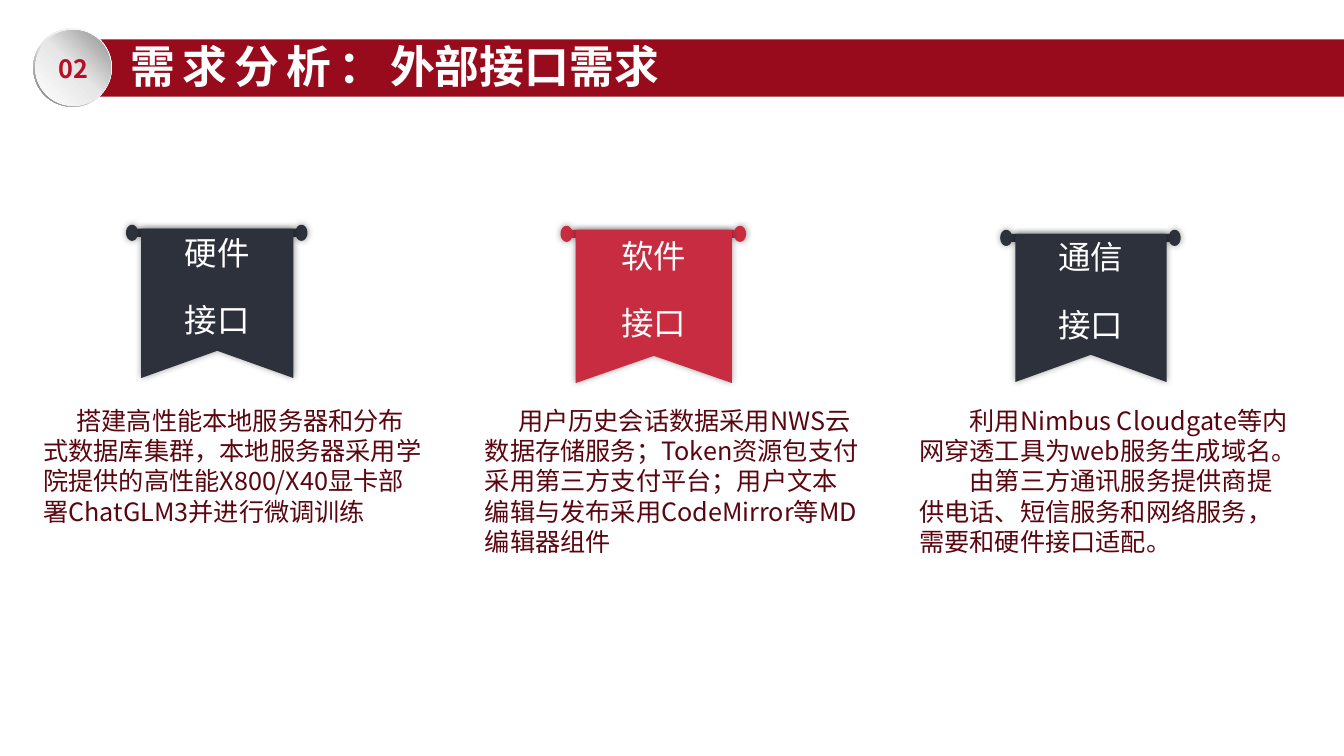
from math import cos, radians, sin

from lxml import etree
from pptx import Presentation
from pptx.dml.color import RGBColor
from pptx.enum.shapes import MSO_SHAPE
from pptx.enum.text import MSO_ANCHOR, PP_ALIGN
from pptx.oxml.ns import qn
from pptx.util import Inches, Pt

RECT, DONUT, OVAL = MSO_SHAPE.RECTANGLE, MSO_SHAPE.DONUT, MSO_SHAPE.OVAL
TOP, MIDDLE = MSO_ANCHOR.TOP, MSO_ANCHOR.MIDDLE
LEFT, CENTER = PP_ALIGN.LEFT, PP_ALIGN.CENTER
NAVY, RED, WHITE = "2D313B", "C82C41", "FFFFFF"
BAR, MAROON, NUMBER = "970B1C", "5A0610", "BB0C21"
INSETS = (0.1, 0.05, 0.1, 0.05)


def rgb(value):
    return RGBColor.from_string(value)


class SlideBuilder:
    font = "Noto Sans CJK SC"

    def __init__(self, slide):
        self.slide = slide

    def finish(self, s, fill):
        s.shadow.inherit = False
        s.line.fill.background()
        s.fill.solid()
        s.fill.fore_color.rgb = rgb(fill)
        return s

    def shape(self, kind, x, y, w, h, fill=WHITE):
        s = self.slide.shapes.add_shape(
            kind, Inches(x), Inches(y), Inches(w), Inches(h))
        return self.finish(s, fill)

    def gradient(self, s, stops, angle):
        s.fill.gradient()
        s.fill.gradient_angle = 360 - angle
        stop_list = s._element.spPr.find(qn("a:gradFill")).find(qn("a:gsLst"))
        for old in list(stop_list):
            stop_list.remove(old)
        for position, color in stops:
            gs = etree.SubElement(stop_list, qn("a:gs"), pos=str(position * 1000))
            etree.SubElement(gs, qn("a:srgbClr"), val=color)

    def outline(self, points, fill):
        points = [(Inches(x), Inches(y)) for x, y in points]
        builder = self.slide.shapes.build_freeform(*points[0])
        builder.add_line_segments(points[1:], close=True)
        s = self.finish(builder.convert_to_shape(), fill)
        effects = s._element.spPr.find(qn("a:effectLst"))
        shadow = etree.SubElement(effects, qn("a:outerShdw"),
                                  blurRad=str(Pt(5)), dist="0", dir="0")
        color = etree.SubElement(shadow, qn("a:srgbClr"), val="000000")
        etree.SubElement(color, qn("a:alpha"), val="40000")
        return s

    def set_text(self, s, paragraphs, size, color, bold=False, align=LEFT,
                 anchor=TOP, insets=INSETS, indent=0):
        """Each paragraph is a list of (text, extra run attributes)."""
        tf = s.text_frame
        left, top, right, bottom = map(Inches, insets)
        frame = {"word_wrap": True, "vertical_anchor": anchor,
                 "margin_left": left, "margin_top": top,
                 "margin_right": right, "margin_bottom": bottom}
        for name, value in frame.items():
            setattr(tf, name, value)
        style = {"size": Pt(size), "bold": bold, "name": self.font}
        for i, runs in enumerate(paragraphs):
            p = tf.add_paragraph() if i else tf.paragraphs[0]
            p.alignment = align
            if indent:
                pPr = p._p.get_or_add_pPr()
                pPr.set("marL", "0")
                pPr.set("indent", str(Inches(indent)))
            for text, extra in runs:
                r = p.add_run()
                r.text = text
                for name, value in style.items():
                    setattr(r.font, name, value)
                r.font.color.rgb = rgb(color)
                rPr = r._r.get_or_add_rPr()
                etree.SubElement(rPr, qn("a:ea"), typeface=self.font)
                for name, value in extra.items():
                    rPr.set(name, value)

    def text(self, x, y, w, h, paragraphs, size, color, **options):
        s = self.slide.shapes.add_textbox(
            Inches(x), Inches(y), Inches(w), Inches(h))
        self.set_text(s, paragraphs, size, color, **options)

    def banner(self, x, y, w, h, label, fill):
        # Rod with a round knob at each end
        rx, ry = 0.06, 0.08
        left, right, middle = x - 0.09, x + w + 0.08, y + 0.04
        knobs = [(right, range(-150, 151, 15)), (left, range(30, 331, 15))]
        self.outline([(cx + rx * cos(radians(a)), middle + ry * sin(radians(a)))
                      for cx, angles in knobs for a in angles], fill)
        # Swallowtail flag
        flag = self.outline([(x + w / 2, y + h - 0.27), (x + w, y + h), (x + w, y),
                             (x, y), (x, y + h)], fill)
        self.set_text(flag, [[(line, {"baseline": "30000"})] for line in label],
                      40, WHITE, align=CENTER, anchor=MIDDLE,
                      insets=(0.1, 0, 0.1, 0.2))


def main():
    prs = Presentation()
    prs.slide_width, prs.slide_height = Inches(13.33), Inches(7.5)
    b = SlideBuilder(prs.slides.add_slide(prs.slide_layouts[6]))

    # Title bar
    b.shape(RECT, 0.79, 0.39, 12.54, 0.57, BAR)
    b.text(1.2, 0.33, 6.36, 1.18,
           [[("需求分析：", {"spc": "500"}), ("外部接口需求", {})]],
           32, WHITE, bold=True)

    # Section number
    ring = b.shape(DONUT, 0.33, 0.28, 0.78, 0.78)
    ring.adjustments[0] = 0.05
    b.gradient(ring, [(0, WHITE), (55, "E6E6E6"), (100, "6C6C6C")], 135)
    disc = b.shape(OVAL, 0.35, 0.3, 0.75, 0.75)
    b.gradient(disc, [(0, WHITE), (51, "E6E6E6"), (100, "8F8F8F")], 315)
    b.set_text(disc, [[("02", {})]], 18, NUMBER, bold=True, align=CENTER,
               anchor=MIDDLE)

    # Banners: place and size, label, colour
    banners = [
        ((1.4, 2.27, 1.51, 1.48), ("硬件", "接口"), NAVY),
        ((5.71, 2.28, 1.55, 1.52), ("软件", "接口"), RED),
        ((10.07, 2.32, 1.5, 1.47), ("通信", "接口"), NAVY),
    ]
    for place, label, fill in banners:
        b.banner(*place, label, fill)

    # Descriptions: left, width, first-line indent, paragraphs
    descriptions = [
        (0.33, 3.98, 0.33, [
            "搭建高性能本地服务器和分布式数据库集群，本地服务器采用学院提供的"
            "高性能X800/X40显卡部署ChatGLM3并进行微调训练"]),
        (4.71, 3.92, 0.33, [
            "用户历史会话数据采用NWS云数据存储服务；Token资源包支付采用"
            "第三方支付平台；用户文本编辑与发布采用CodeMirror等MD编辑器组件"]),
        (9.02, 3.93, 0.5, [
            "利用Nimbus Cloudgate等内网穿透工具为web服务生成域名。",
            "由第三方通讯服务提供商提供电话、短信服务和网络服务，"
            "需要和硬件接口适配。"]),
    ]
    for x, w, indent, texts in descriptions:
        b.text(x, 3.97, w, 1.61, [[(text, {})] for text in texts], 18, MAROON,
               indent=indent)

    prs.save("out.pptx")


if __name__ == "__main__":
    main()
